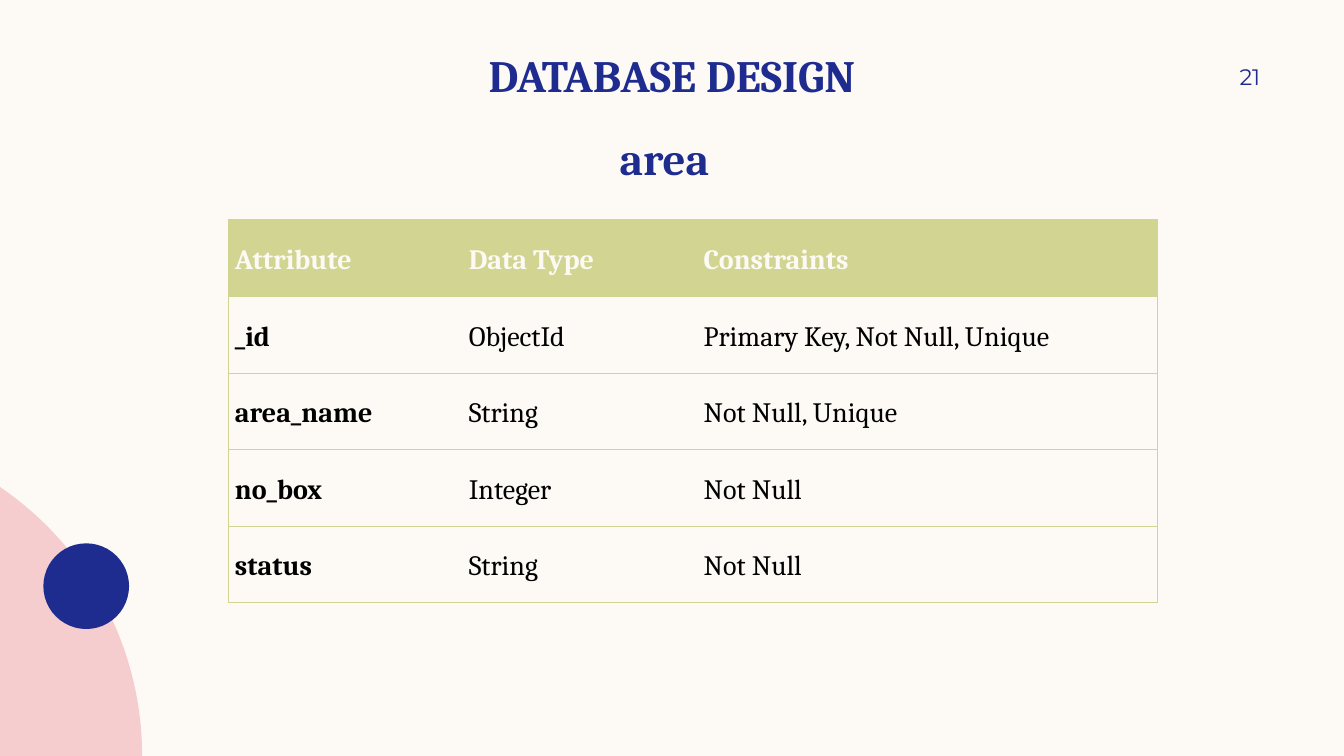
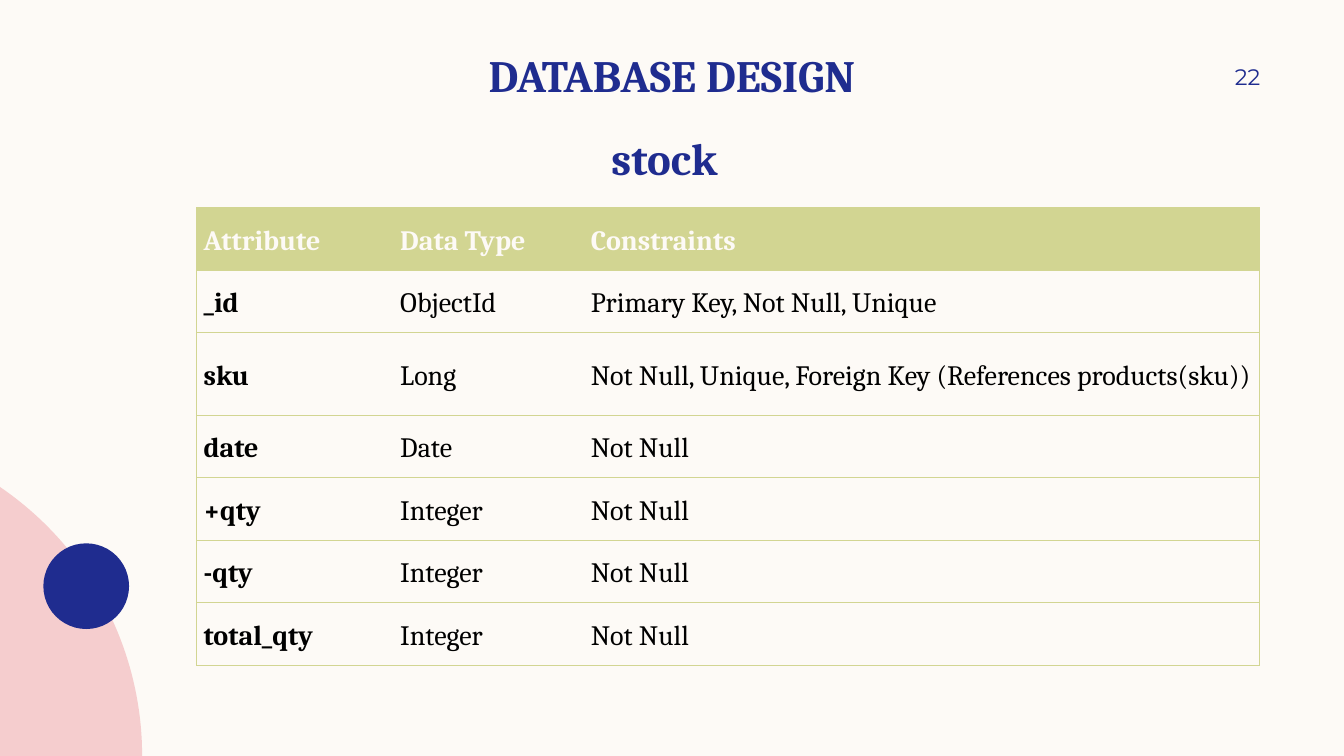
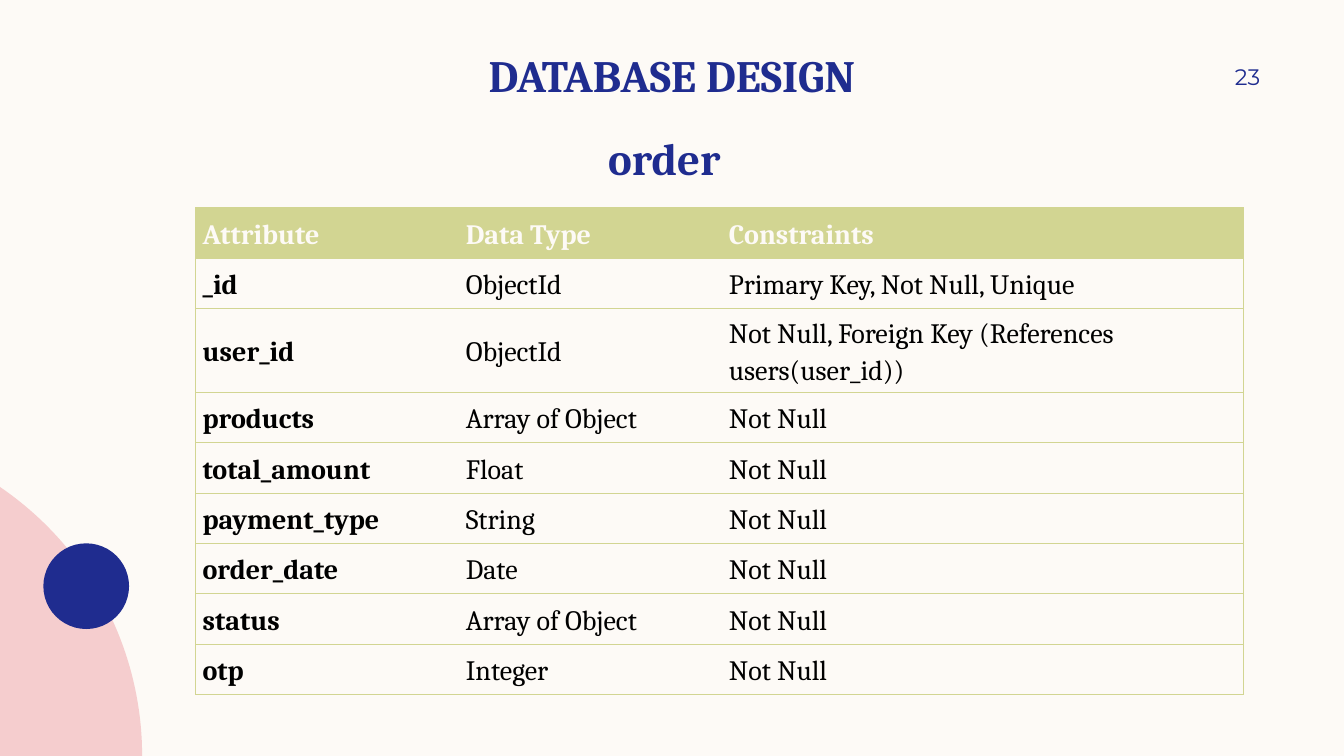
from math import asin, cos, sin

from lxml.etree import SubElement
from pptx import Presentation
from pptx.dml.color import RGBColor
from pptx.enum.shapes import MSO_SHAPE
from pptx.enum.text import MSO_ANCHOR, MSO_AUTO_SIZE, PP_ALIGN
from pptx.oxml.ns import qn
from pptx.util import Inches, Pt

COLORS = {"cream": "FDFAF6", "navy": "1F2C8F", "pink": "F5CDCE",
          "green": "D2D592", "black": "000000"}
SERIF, SANS = "Cambria", "Montserrat"
WIDTH, HEIGHT = 13.33, 7.5
FIRST_NUMBER = 21
TITLE = "DATABASE DESIGN"
TITLE_BOX = (0, 0.45, WIDTH, 0.56)
NAME_BOX = (1.77, 1.3, 9.64, 0.56)
NUMBER_BOX = (11.33, 0.5, 1.17, 0.52)
HEADER = ("Attribute", "Data Type", "Constraints")

COLLECTIONS = [
    {
        "name": "area",
        "at": (2.26, 2.18),
        "columns": (2.32, 2.33, 4.57),
        "row_height": 0.76,
        "tall_rows": {},
        "rows": [
            ("_id", "ObjectId", "Primary Key, Not Null, Unique"),
            ("area_name", "String", "Not Null, Unique"),
            ("no_box", "Integer", "Not Null"),
            ("status", "String", "Not Null"),
        ],
    },
    {
        "name": "stock",
        "at": (1.95, 2.06),
        "columns": (1.95, 1.89, 6.7),
        "row_height": 0.62,
        "tall_rows": {"sku": 0.82},
        "rows": [
            ("_id", "ObjectId", "Primary Key, Not Null, Unique"),
            ("sku", "Long", "Not Null, Unique, Foreign Key (References products(sku))"),
            ("date", "Date", "Not Null"),
            ("+qty", "Integer", "Not Null"),
            ("-qty", "Integer", "Not Null"),
            ("total_qty", "Integer", "Not Null"),
        ],
    },
    {
        "name": "order",
        "at": (1.94, 2.06),
        "columns": (2.61, 2.61, 5.17),
        "row_height": 0.5,
        "tall_rows": {"user_id": 0.83},
        "rows": [
            ("_id", "ObjectId", "Primary Key, Not Null, Unique"),
            ("user_id", "ObjectId", "Not Null, Foreign Key (References users(user_id))"),
            ("products", "Array of Object", "Not Null"),
            ("total_amount", "Float", "Not Null"),
            ("payment_type", "String", "Not Null"),
            ("order_date", "Date", "Not Null"),
            ("status", "Array of Object", "Not Null"),
            ("otp", "Integer", "Not Null"),
        ],
    },
]


def rgb(name):
    return RGBColor.from_string(COLORS[name])


def place(shape, box):
    shape.left, shape.top, shape.width, shape.height = map(Inches, box)


def write(paragraph, text, size, color, font=SERIF, bold=False):
    run = paragraph.add_run()
    run.text = text
    run.font.size, run.font.name, run.font.bold = Pt(size), font, bold
    run.font.color.rgb = rgb(color)


def set_frame(frame, anchor, left, top, right, bottom):
    frame.word_wrap = True
    frame.auto_size = MSO_AUTO_SIZE.NONE
    frame.vertical_anchor = anchor
    frame.margin_left, frame.margin_top = Inches(left), Inches(top)
    frame.margin_right, frame.margin_bottom = Inches(right), Inches(bottom)


def add_heading(placeholder, text, anchor):
    set_frame(placeholder.text_frame, anchor, 0.1, 0, 0.1, 0)
    paragraph = placeholder.text_frame.paragraphs[0]
    properties = paragraph._p.get_or_add_pPr()
    properties.set("marL", "0")
    properties.set("indent", "0")
    SubElement(properties, qn("a:buNone"))
    paragraph.alignment = PP_ALIGN.CENTER
    paragraph.space_before = Pt(0)
    write(paragraph, text, 32, "navy", bold=True)


def add_number(slide, number):
    box = slide.shapes.add_textbox(*map(Inches, NUMBER_BOX))
    set_frame(box.text_frame, MSO_ANCHOR.MIDDLE, 0.1, 0.05, 0, 0.05)
    paragraph = box.text_frame.paragraphs[0]
    paragraph.alignment = PP_ALIGN.RIGHT
    write(paragraph, str(number), 16, "navy", SANS)


def add_corner_circles(slide, layout):
    """Draw the corner on a slide, then move it to the layout all slides share."""
    radius, right, rise, steps = 3.23, 1.41, 2.67, 60
    sweep = asin(rise / radius)
    arc = [(Inches(right - radius + radius * cos(sweep * step / steps)),
            Inches(HEIGHT - radius * sin(sweep * step / steps)))
           for step in range(steps + 1)]
    builder = slide.shapes.build_freeform(0, Inches(HEIGHT))
    builder.add_line_segments(arc, close=True)
    quarter = builder.convert_to_shape()
    dot = slide.shapes.add_shape(
        MSO_SHAPE.OVAL, Inches(0.43), Inches(5.39), Inches(0.85), Inches(0.85))
    for shape, color in ((quarter, "pink"), (dot, "navy")):
        shape.shadow.inherit = False
        shape.fill.solid()
        shape.fill.fore_color.rgb = rgb(color)
        shape.line.fill.background()
        layout.shapes.element.append(shape.element)


def set_borders(cell, visible):
    properties = cell._tc.get_or_add_tcPr()
    for side in "LRTB":
        line = SubElement(properties, qn(f"a:ln{side}"), w=str(Pt(0.5)))
        if side in visible:
            fill = SubElement(line, qn("a:solidFill"))
            SubElement(fill, qn("a:srgbClr"), val=COLORS["green"])
        else:
            SubElement(line, qn("a:noFill"))


def add_attribute_table(slide, collection):
    rows = [HEADER, *collection["rows"]]
    columns = collection["columns"]
    heights = [collection["tall_rows"].get(row[0], collection["row_height"])
               for row in rows]
    left, top = collection["at"]
    table = slide.shapes.add_table(
        len(rows), len(columns), Inches(left), Inches(top),
        Inches(sum(columns)), Inches(sum(heights))).table
    table.horz_banding = False
    for column, width in zip(table.columns, columns):
        column.width = Inches(width)
    for r, (row, height) in enumerate(zip(rows, heights)):
        table.rows[r].height = Inches(height)
        is_header = r == 0
        for c, text in enumerate(row):
            cell = table.cell(r, c)
            outer = {0: "L", len(columns) - 1: "R"}.get(c, "")
            set_borders(cell, "TB" + outer)
            if is_header:
                cell.fill.solid()
                cell.fill.fore_color.rgb = rgb("green")
            else:
                cell.fill.background()
            cell.vertical_anchor = MSO_ANCHOR.MIDDLE
            cell.margin_left = cell.margin_right = Inches(0.07)
            cell.margin_top = cell.margin_bottom = 0
            paragraph = cell.text_frame.paragraphs[0]
            paragraph.line_spacing = 1.15
            paragraph.space_after = Pt(8)
            write(paragraph, text, 20, "cream" if is_header else "black",
                  bold=is_header or c == 0)


def main():
    presentation = Presentation()
    presentation.slide_width, presentation.slide_height = Inches(WIDTH), Inches(HEIGHT)
    background = presentation.slide_master.background.fill
    background.solid()
    background.fore_color.rgb = rgb("cream")
    layout = presentation.slide_layouts.get_by_name("Title and Content")
    for placeholder, box in zip(layout.placeholders, (TITLE_BOX, NAME_BOX)):
        place(placeholder, box)

    for number, collection in enumerate(COLLECTIONS, FIRST_NUMBER):
        slide = presentation.slides.add_slide(layout)
        if number == FIRST_NUMBER:
            add_corner_circles(slide, layout)
        add_heading(slide.shapes.title, TITLE, MSO_ANCHOR.BOTTOM)
        add_heading(slide.placeholders[1], collection["name"], MSO_ANCHOR.TOP)
        add_number(slide, number)
        add_attribute_table(slide, collection)
    presentation.save("out.pptx")


if __name__ == "__main__":
    main()
